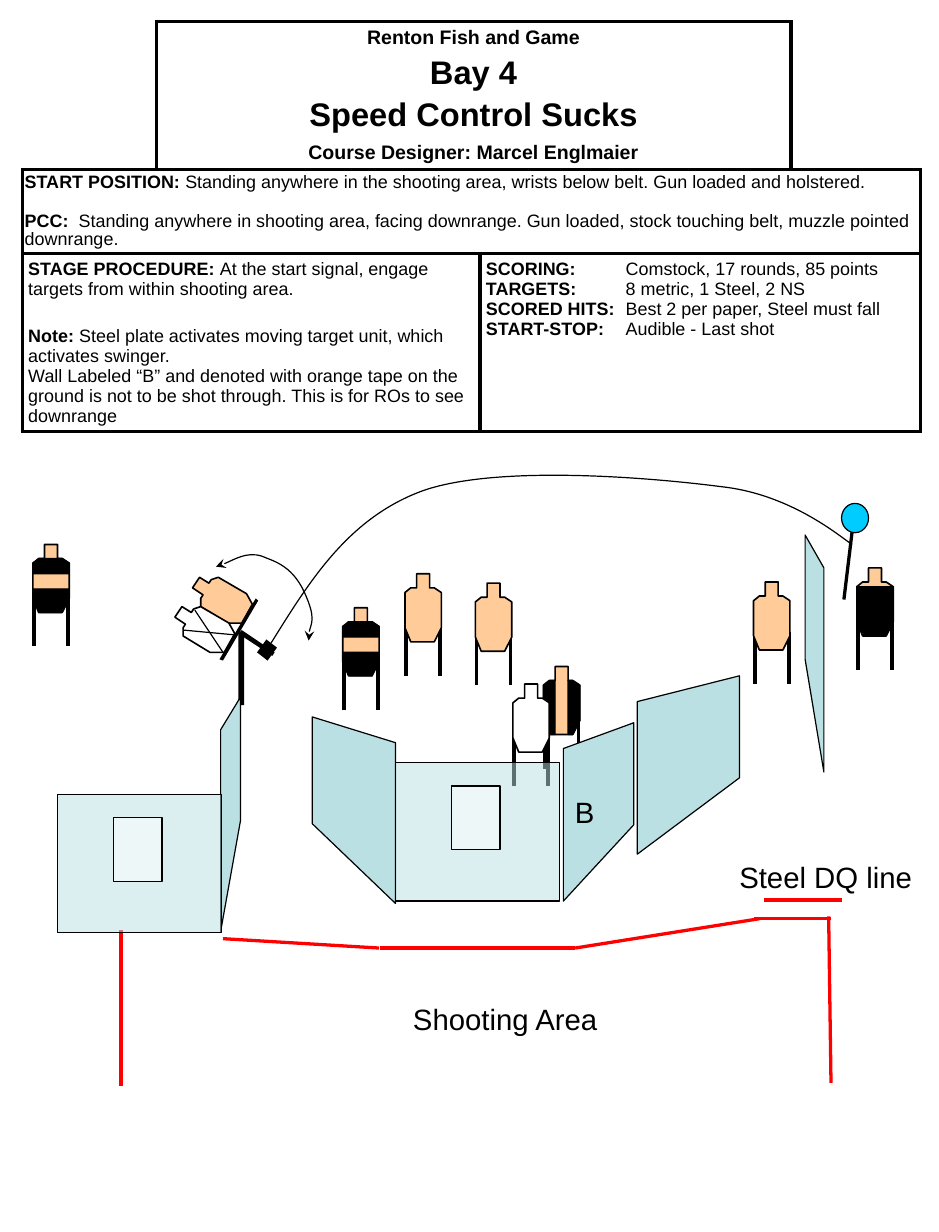
from dataclasses import dataclass
from lxml.etree import SubElement
from pptx import Presentation
from pptx.dml.color import RGBColor
from pptx.enum.shapes import MSO_CONNECTOR, MSO_SHAPE
from pptx.enum.text import MSO_ANCHOR, MSO_AUTO_SIZE, PP_ALIGN
from pptx.oxml.ns import qn
from pptx.util import Inches, Pt


@dataclass(frozen=True)
class Theme:
    font: str = "Arial"
    black: str = "000000"
    white: str = "FFFFFF"
    tan: str = "FFCC99"
    steel: str = "00CCFF"
    wall: str = "BBE0E3"
    red: str = "FF0000"
    label: float = 18
    title: float = 20
    subtitle: float = 12
    body: float = 11
    thin: float = 0.75
    edge: float = 1
    tape: float = 2
    heavy: float = 2.25


THEME = Theme()

HEADER = [("Renton Fish and Game", THEME.subtitle, 0), ("Bay 4", THEME.title, 3.5),
          ("Speed Control Sucks", THEME.title, 4),
          ("Course Designer: Marcel Englmaier", THEME.subtitle, 5)]
START = [
    ("START POSITION: ", "Standing anywhere in the shooting area, wrists below belt. Gun loaded and holstered."),
    ("PCC:  ", "Standing anywhere in shooting area, facing downrange. Gun loaded, stock touching belt, muzzle pointed downrange."),
]
PROCEDURE = [
    ("STAGE PROCEDURE: ", "At the start signal, engage targets from within shooting area."),
    ("Note:", " Steel plate activates moving target unit, which activates swinger.\n"
     "Wall Labeled “B” and denoted with orange tape on the ground is not to be shot through. "
     "This is for ROs to see downrange"),
]
SCORING = [("SCORING:", "\tComstock, 17 rounds, 85 points"), ("TARGETS:", "\t8 metric, 1 Steel, 2 NS"),
           ("SCORED HITS:", "\tBest 2 per paper, Steel must fall"), ("START-STOP:", "\tAudible - Last shot")]
COLUMNS = [1.14, 2.76, 2.65, 1.1]
ROWS = [1.08, 0.37, 0.83]
SPANS = [(0, 0, 0, "RB"), (0, 1, 2, "LRTB"), (0, 3, 3, "LB"),
         (1, 0, 3, "LRTB"), (2, 0, 1, "LRTB"), (2, 2, 3, "LRTB")]

BODY = [(0.1, 0), (0.21, 0), (0.21, 0.12), (0.25, 0.12), (0.31, 0.16), (0.31, 0.46),
        (0.25, 0.58), (0.05, 0.58), (0, 0.46), (0, 0.16), (0.05, 0.12), (0.1, 0.12)]
RIGHT_SIDE = [(0.21, 0.12), (0.21, 0.58), (0.25, 0.58), (0.31, 0.46), (0.31, 0.16), (0.25, 0.12)]
MASKS = {
    "open": [],
    "bands": [[(0.06, 0.12), (0.25, 0.12), (0.31, 0.16), (0.31, 0.25), (0, 0.25), (0, 0.16)],
              [(0.25, 0.58), (0.31, 0.46), (0.31, 0.38), (0, 0.38), (0, 0.46), (0.06, 0.58)]],
    "sides": [RIGHT_SIDE, [(0.31 - x, y) for x, y in RIGHT_SIDE]],
    "lower": [[(0, 0.16), (0.31, 0.16), (0.31, 0.46), (0.25, 0.57), (0.06, 0.57), (0, 0.46)]],
}
TARGETS = [(3.45, 4.89, "open", THEME.tan), (4.63, 5.68, "sides", THEME.tan),
           (7.3, 4.84, "lower", THEME.tan), (2.92, 5.18, "bands", THEME.tan),
           (6.42, 4.96, "open", THEME.tan), (4.37, 5.83, "open", THEME.white),
           (0.28, 4.64, "bands", THEME.tan), (4.05, 4.97, "open", THEME.tan)]

SWINGER = [(1.64, 5.01), (1.7, 4.92), (1.78, 4.97), (1.8, 4.94), (1.86, 4.92), (2.1, 5.06),
           (2.15, 5.15), (2.06, 5.31), (1.94, 5.31), (1.71, 5.17), (1.71, 5.1), (1.73, 5.07)]
NO_SHOOT = [(x - 0.15, y + 0.25) for x, y in SWINGER]
SWINGER_FRAME = [[(2.2, 5.12), (1.9, 5.63), (1.87, 5.62), (2.18, 5.1)],
                 [(2.03, 5.4), (2.32, 5.59), (2.34, 5.56), (2.06, 5.37)],
                 [(2.19, 5.56), (2.28, 5.63), (2.36, 5.52), (2.27, 5.45)]]
CROSS = [((1.66, 5.2), (1.9, 5.56)), ((1.99, 5.41), (1.56, 5.37))]
SWING_ARC = [(1.84, 4.83), (1.9, 4.82), (2.1, 4.7), (2.23, 4.74), (2.32, 4.78),
             (2.48, 4.81), (2.59, 5.04), (2.7, 5.28), (2.62, 5.37), (2.63, 5.46)]
CABLE = [(2.31, 5.48), (2.64, 4.95), (2.97, 4.41), (3.61, 4.18), (4.25, 3.96),
         (5.55, 4.07), (6.16, 4.15), (6.77, 4.22), (7.2, 4.61), (7.26, 4.64)]

WALLS = [([(6.86, 5.62), (7.02, 6.58), (7.02, 4.84), (6.86, 4.56)], ""),
         ([(5.4, 7.03), (4.8, 7.68), (4.8, 6.38), (5.4, 6.16)], "B"),
         ([(2.66, 7.02), (3.37, 7.7), (3.37, 6.33), (2.66, 6.11)], ""),
         ([(2.05, 6.99), (1.88, 7.94), (1.88, 6.22), (2.05, 5.94)], ""),
         ([(6.3, 6.63), (5.43, 7.28), (5.43, 5.98), (6.3, 5.76)], "")]
PORTS = [(3.37, 6.5), (0.49, 6.77)]
TAPES = [((4.9, 8.08), (3.24, 8.08)), ((7.08, 7.83), (6.42, 7.83)), ((6.47, 7.83), (4.9, 8.08)),
         ((1.03, 7.93), (1.03, 9.26)), ((1.9, 8), (3.23, 8.08)), ((7.08, 9.23), (7.06, 7.81)),
         ((7.17, 7.67), (6.51, 7.67))]
LABELS = [("Steel DQ line", 6.2, 7.27, 1.69), ("Shooting Area", 3.42, 8.48, 1.79)]


def rgb(color):
    return RGBColor.from_string(color)


def style_font(font, size):
    font.name, font.size, font.color.rgb = THEME.font, Pt(size), rgb(THEME.black)


def style_shape(shape, fill, width, alpha=None):
    shape.shadow.inherit = False
    if fill:
        shape.fill.solid()
        shape.fill.fore_color.rgb = rgb(fill)
    else:
        shape.fill.background()
    if alpha:
        color = next(shape.element.spPr.iter(qn("a:srgbClr")))
        SubElement(color, qn("a:alpha"), val=str(alpha * 1000))
    if width:
        shape.line.color.rgb = rgb(THEME.black)
        shape.line.width = Pt(width)
    else:
        shape.line.fill.background()
    return shape


def preset(shapes, kind, box, fill, width, alpha=None):
    return style_shape(shapes.add_shape(kind, *map(Inches, box)), fill, width, alpha)


def outline(shapes, points, fill, width, close=True):
    (x, y), *rest = [(Inches(x), Inches(y)) for x, y in points]
    builder = shapes.build_freeform(x, y)
    builder.add_line_segments(rest, close=close)
    return style_shape(builder.convert_to_shape(), fill, width)


def curve(shapes, points, arrows=False):
    shape = outline(shapes, points, None, THEME.thin, close=False)
    steps = list(shape.element.spPr.iter(qn("a:lnTo")))
    for first in range(0, len(steps), 3):
        bezier = SubElement(steps[0].getparent(), qn("a:cubicBezTo"))
        for step in steps[first:first + 3]:
            bezier.append(step[0])
    for step in steps:
        step.getparent().remove(step)
    if arrows:
        line = shape.element.spPr.find(qn("a:ln"))
        for end in ("a:headEnd", "a:tailEnd"):
            SubElement(line, qn(end), type="stealth")


def connect(shapes, start, end, color, width):
    line = shapes.add_connector(MSO_CONNECTOR.STRAIGHT, *map(Inches, start + end))
    line.line.color.rgb = rgb(color)
    line.line.width = Pt(width)
    SubElement(line.element.spPr, qn("a:effectLst"))


def write_entries(cell, entries, margin, gap=0, spacing=None, tab=None):
    cell.margin_left = cell.margin_right = Inches(margin[0])
    cell.margin_top = cell.margin_bottom = Inches(margin[1])
    for index, (label, text) in enumerate(entries):
        para = cell.text_frame.add_paragraph() if index else cell.text_frame.paragraphs[0]
        if tab:
            stops = SubElement(para._p.get_or_add_pPr(), qn("a:tabLst"))
            SubElement(stops, qn("a:tab"), pos=str(Inches(tab)), algn="l")
        para.space_before = Pt(gap if index else 0)
        if spacing:
            para.line_spacing = spacing
        for order, part in enumerate([label, *text.split("\n")]):
            if order > 1:
                para.add_line_break()
            span = para.add_run()
            span.text = part
            style_font(span.font, THEME.body)
            span.font.bold = order == 0


def add_briefing(page):
    table = page.shapes.add_table(len(ROWS), len(COLUMNS), Inches(0.19), Inches(0.18),
                                  Inches(sum(COLUMNS)), Inches(sum(ROWS))).table
    table.first_row = table.horz_banding = False
    for column, width in zip(table.columns, COLUMNS):
        column.width = Inches(width)
    for row, height in zip(table.rows, ROWS):
        row.height = Inches(height)
    for row, first, last, sides in SPANS:
        if last > first:
            table.cell(row, first).merge(table.cell(row, last))
        for column in range(first, last + 1):
            cell = table.cell(row, column)
            hidden = {first: "", last: "L"}.get(column, "LR")
            for side in sides:
                if side not in hidden:
                    line = SubElement(cell._tc.get_or_add_tcPr(), qn(f"a:ln{side}"), w=str(Pt(THEME.heavy)))
                    SubElement(SubElement(line, qn("a:solidFill")), qn("a:srgbClr"), val=THEME.black)
            cell.fill.solid()
            cell.fill.fore_color.rgb = rgb(THEME.white)
    header = table.cell(0, 1)
    header.vertical_anchor = MSO_ANCHOR.MIDDLE
    header.margin_left = header.margin_right = header.margin_top = header.margin_bottom = Inches(0.05)
    for index, (text, size, gap) in enumerate(HEADER):
        para = header.text_frame.add_paragraph() if index else header.text_frame.paragraphs[0]
        para.text, para.alignment, para.space_before = text, PP_ALIGN.CENTER, Pt(gap)
        style_font(para.font, size)
        para.font.bold = True
    write_entries(table.cell(1, 0), START, (0.02, 0.04), 12.5, spacing=0.9)
    write_entries(table.cell(2, 0), PROCEDURE, (0.05, 0.05), 16.5)
    write_entries(table.cell(2, 2), SCORING, (0.05, 0.05), tab=1.19)


def add_target(page, left, top, mask, color):
    parts = page.shapes.add_group_shape().shapes
    for x in (left + 0.01, left + 0.3):
        connect(parts, (x, top + 0.43), (x, top + 0.87), THEME.black, THEME.heavy)
    for points, fill in [(BODY, color)] + [(points, THEME.black) for points in MASKS[mask]]:
        outline(parts, [(left + x, top + y) for x, y in points], fill,
                THEME.edge if points is BODY else THEME.thin)


def add_swinger(page):
    parts = page.shapes.add_group_shape().shapes
    outline(parts, SWINGER, THEME.tan, THEME.edge)
    for points in SWINGER_FRAME:
        outline(parts, points, THEME.black, None)
    preset(parts, MSO_SHAPE.RECTANGLE, (2.03, 5.39, 0.05, 0.62), THEME.black, None)
    outline(parts, NO_SHOOT, THEME.white, THEME.edge)
    for start, end in CROSS:
        connect(parts, start, end, THEME.black, THEME.thin)
    curve(parts, SWING_ARC, arrows=True)


def write_label(frame, text):
    frame.word_wrap = False
    para = frame.paragraphs[0]
    para.text, para.alignment = text, PP_ALIGN.LEFT
    style_font(para.font, THEME.label)


def main():
    deck = Presentation()
    deck.slide_width, deck.slide_height = Inches(8), Inches(10.5)
    page = deck.slides.add_slide(deck.slide_layouts[6])
    add_briefing(page)
    plate = page.shapes.add_group_shape().shapes
    connect(plate, (7.19, 5.11), (7.27, 4.45), THEME.black, THEME.tape)
    preset(plate, MSO_SHAPE.OVAL, (7.17, 4.29, 0.23, 0.25), THEME.steel, THEME.thin)
    add_swinger(page)
    for start, end in TAPES:
        connect(page.shapes, start, end, THEME.red, THEME.tape)
    for target in TARGETS:
        add_target(page, *target)
    for points, text in WALLS:
        wall = outline(page.shapes, points, THEME.wall, THEME.thin)
        if text:
            wall.text_frame.vertical_anchor = MSO_ANCHOR.MIDDLE
            write_label(wall.text_frame, text)
    for left, top in PORTS:
        parts = page.shapes.add_group_shape().shapes
        preset(parts, MSO_SHAPE.RECTANGLE, (left, top, 1.4, 1.18), THEME.wall, THEME.thin, 50)
        preset(parts, MSO_SHAPE.RECTANGLE, (left + 0.48, top + 0.2, 0.41, 0.54), THEME.white, THEME.thin, 50)
    curve(page.shapes, CABLE)
    for text, left, top, width in LABELS:
        box = page.shapes.add_textbox(Inches(left), Inches(top), Inches(width), Inches(0.4))
        write_label(box.text_frame, text)
        box.text_frame.auto_size = MSO_AUTO_SIZE.SHAPE_TO_FIT_TEXT
    deck.save("out.pptx")


if __name__ == "__main__":
    main()
